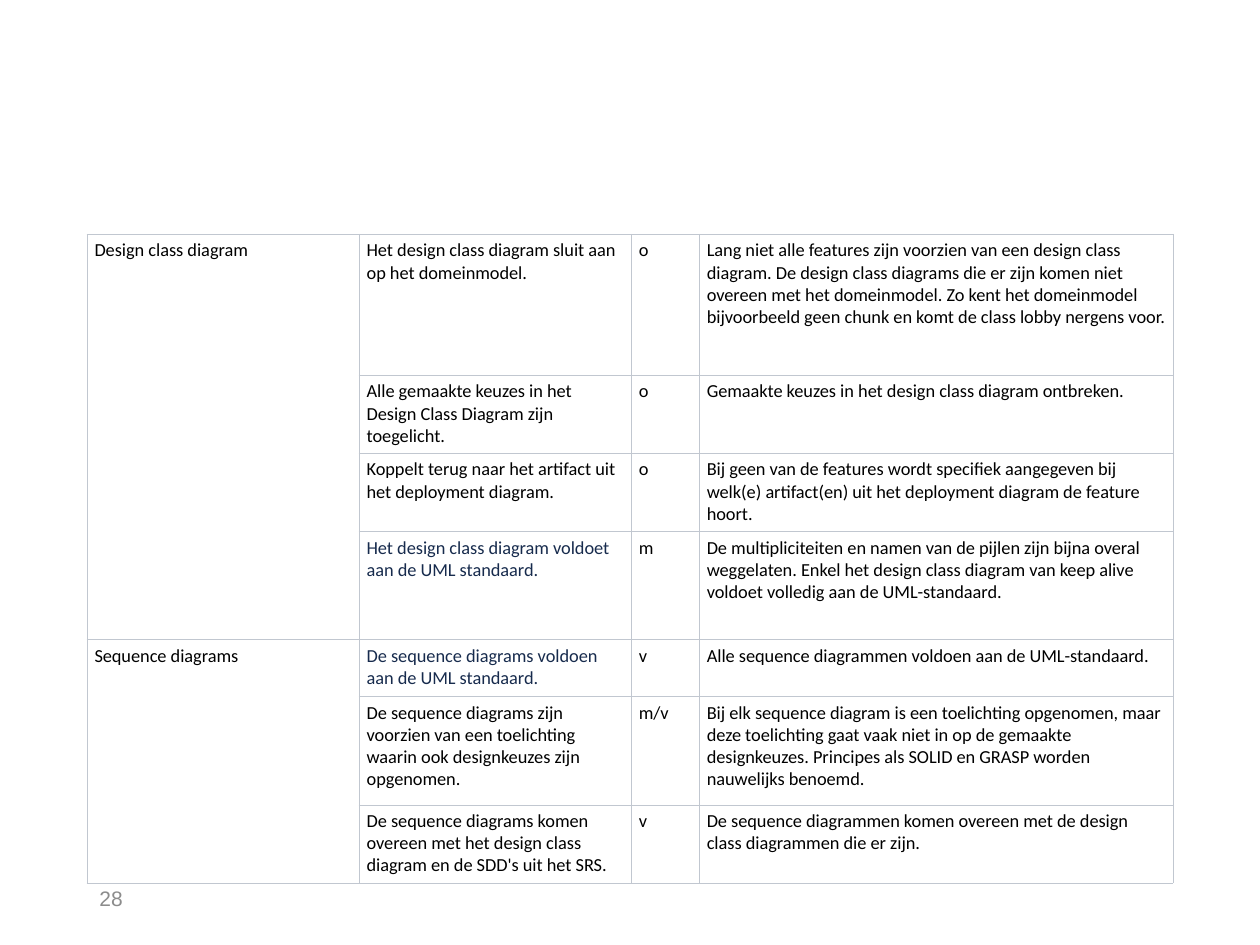
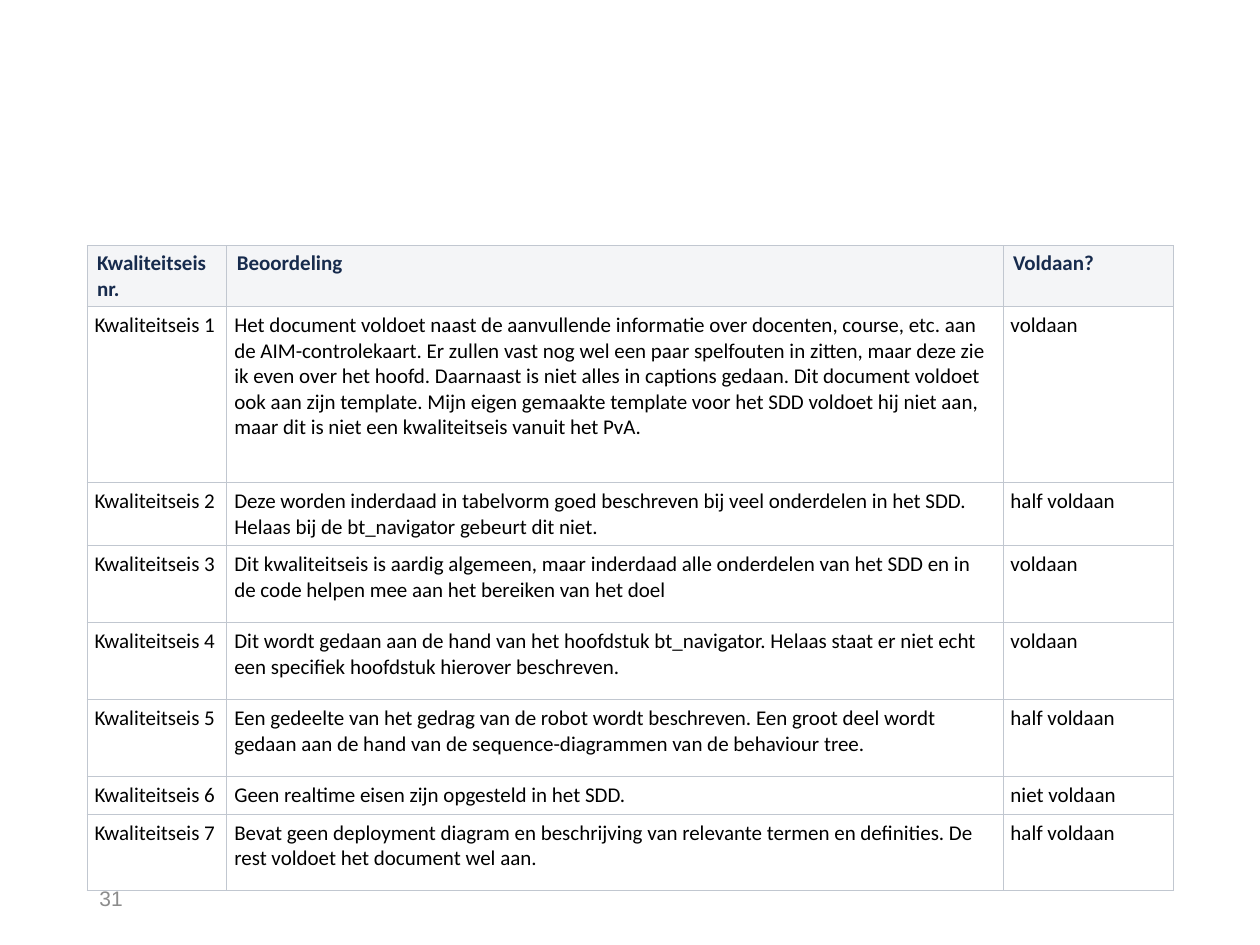
import pptx
import pptx.dml.color
import pptx.enum.text
import pptx.util
from lxml import etree
from pptx.oxml.ns import qn

Inches = pptx.util.Inches
Pt = pptx.util.Pt
RGBColor = pptx.dml.color.RGBColor

BLACK = RGBColor(0x00, 0x00, 0x00)
WHITE = RGBColor(0xFF, 0xFF, 0xFF)
NAVY = RGBColor(0x17, 0x2B, 0x4D)
HEADER_FILL = RGBColor(0xF4, 0xF5, 0xF7)
BORDER = RGBColor(0xC1, 0xC7, 0xD0)
NUMBER_GREY = RGBColor(0x8C, 0x8C, 0x8C)

TABLE_FONT = "Calibri"
NUMBER_FONT = "Arial"
LEFT, TABLE_WIDTH = 0.69, 8.62

REVIEW_COLUMNS = [2.16, 2.16, 0.54, 3.76]
REVIEW_GROUPS = [
    ("Design class diagram", [
        (1.12, "Het design class diagram sluit aan op het domeinmodel.", "o",
         "Lang niet alle features zijn voorzien van een design class diagram. "
         "De design class diagrams die er zijn komen niet overeen met het domeinmodel. "
         "Zo kent het domeinmodel bijvoorbeeld geen chunk en komt de class lobby nergens voor."),
        (0.62, "Alle gemaakte keuzes in het Design Class Diagram zijn toegelicht.", "o",
         "Gemaakte keuzes in het design class diagram ontbreken."),
        (0.62, "Koppelt terug naar het artifact uit het deployment diagram.", "o",
         "Bij geen van de features wordt specifiek aangegeven bij welk(e) artifact(en) "
         "uit het deployment diagram de feature hoort."),
        (0.86, "Het design class diagram voldoet aan de UML standaard.", "m",
         "De multipliciteiten en namen van de pijlen zijn bijna overal weggelaten. "
         "Enkel het design class diagram van keep alive voldoet volledig aan de UML-standaard."),
    ]),
    ("Sequence diagrams", [
        (0.45, "De sequence diagrams voldoen aan de UML standaard.", "v",
         "Alle sequence diagrammen voldoen aan de UML-standaard."),
        (0.86, "De sequence diagrams zijn voorzien van een toelichting waarin ook "
         "designkeuzes zijn opgenomen.", "m/v",
         "Bij elk sequence diagram is een toelichting opgenomen, maar deze toelichting gaat "
         "vaak niet in op de gemaakte designkeuzes. Principes als SOLID en GRASP worden "
         "nauwelijks benoemd."),
        (0.62, "De sequence diagrams komen overeen met het design class diagram en de SDD's "
         "uit het SRS.", "v",
         "De sequence diagrammen komen overeen met de design class diagrammen die er zijn."),
    ]),
]

QUALITY_COLUMNS = [1.11, 6.16, 1.35]
QUALITY_HEADER = ["Kwaliteitseis nr.", "Beoordeling", "Voldaan?"]
QUALITY_HEADER_HEIGHT = 0.48
QUALITY_ROWS = [
    (1.4, "Het document voldoet naast de aanvullende informatie over docenten, course, etc. "
     "aan de AIM-controlekaart. Er zullen vast nog wel een paar spelfouten in zitten, maar "
     "deze zie ik even over het hoofd. Daarnaast is niet alles in captions gedaan. Dit "
     "document voldoet ook aan zijn template. Mijn eigen gemaakte template voor het SDD "
     "voldoet hij niet aan, maar dit is niet een kwaliteitseis vanuit het PvA.", "voldaan"),
    (0.49, "Deze worden inderdaad in tabelvorm goed beschreven bij veel onderdelen in het SDD. "
     "Helaas bij de bt_navigator gebeurt dit niet.", "half voldaan"),
    (0.61, "Dit kwaliteitseis is aardig algemeen, maar inderdaad alle onderdelen van het SDD "
     "en in de code helpen mee aan het bereiken van het doel", "voldaan"),
    (0.61, "Dit wordt gedaan aan de hand van het hoofdstuk bt_navigator. Helaas staat er niet "
     "echt een specifiek hoofdstuk hierover beschreven.", "voldaan"),
    (0.61, "Een gedeelte van het gedrag van de robot wordt beschreven. Een groot deel wordt "
     "gedaan aan de hand van de sequence-diagrammen van de behaviour tree.", "half voldaan"),
    (0.3, "Geen realtime eisen zijn opgesteld in het SDD.", "niet voldaan"),
    (0.61, "Bevat geen deployment diagram en beschrijving van relevante termen en definities. "
     "De rest voldoet het document wel aan.", "half voldaan"),
]


def format_font(paragraph, name, size, color, bold=False):
    for run in paragraph.runs:
        run.font.name = name
        run.font.size = Pt(size)
        run.font.bold = bold
        run.font.color.rgb = color


def add_borders(cell):
    properties = cell._tc.get_or_add_tcPr()
    for side in ("a:lnL", "a:lnR", "a:lnT", "a:lnB"):
        line = etree.SubElement(properties, qn(side), w=str(Pt(0.6)))
        fill = etree.SubElement(line, qn("a:solidFill"))
        etree.SubElement(fill, qn("a:srgbClr"), val=str(BORDER))


def write_cell(cell, text, size, color=BLACK, bold=False, margins=(0.06, 0.04)):
    cell.text_frame.text = text
    format_font(cell.text_frame.paragraphs[0], TABLE_FONT, size, color, bold)
    horizontal, vertical = margins
    cell.margin_left = Inches(horizontal)
    cell.margin_right = Inches(horizontal - 0.01)
    cell.margin_top = cell.margin_bottom = Inches(vertical)


def add_grid(slide, top, column_widths, row_heights):
    """Add an empty white table with thin borders."""
    frame = slide.shapes.add_table(
        len(row_heights), len(column_widths), Inches(LEFT), Inches(top),
        Inches(TABLE_WIDTH), Inches(sum(row_heights)))
    table = frame.table
    table.first_row = False
    table.horz_banding = False
    for column, width in zip(table.columns, column_widths):
        column.width = Inches(width)
    for row, height in zip(table.rows, row_heights):
        row.height = Inches(height)
    for cell in table.iter_cells():
        add_borders(cell)
        cell.fill.solid()
        cell.fill.fore_color.rgb = WHITE
    return table


def add_slide(presentation, number):
    """Add a blank slide with its number at the bottom left."""
    slide = presentation.slides.add_slide(presentation.slide_layouts[6])
    box = slide.shapes.add_textbox(Inches(LEFT), Inches(6.93), Inches(2.25), Inches(0.4))
    text_frame = box.text_frame
    text_frame.word_wrap = True
    text_frame.vertical_anchor = pptx.enum.text.MSO_ANCHOR.MIDDLE
    text_frame.text = str(number)
    format_font(text_frame.paragraphs[0], NUMBER_FONT, 12, NUMBER_GREY)
    return slide


def add_review_table(slide, top):
    heights = [row[0] for _, rows in REVIEW_GROUPS for row in rows]
    table = add_grid(slide, top, REVIEW_COLUMNS, heights)
    row_index = 0
    for subject, rows in REVIEW_GROUPS:
        subject_cell = table.cell(row_index, 0)
        subject_cell.merge(table.cell(row_index + len(rows) - 1, 0))
        write_cell(subject_cell, subject, 10.5)
        for _, criterion, score, remark in rows:
            criterion_color = NAVY if criterion.endswith("UML standaard.") else BLACK
            write_cell(table.cell(row_index, 1), criterion, 10.5, criterion_color)
            write_cell(table.cell(row_index, 2), score, 10.5)
            write_cell(table.cell(row_index, 3), remark, 10.5)
            row_index += 1


def add_quality_table(slide, top):
    heights = [QUALITY_HEADER_HEIGHT] + [row[0] for row in QUALITY_ROWS]
    table = add_grid(slide, top, QUALITY_COLUMNS, heights)
    for column, heading in enumerate(QUALITY_HEADER):
        cell = table.cell(0, column)
        write_cell(cell, heading, 12, NAVY, bold=True, margins=(0.08, 0.04))
        cell.fill.fore_color.rgb = HEADER_FILL
    for number, (_, assessment, result) in enumerate(QUALITY_ROWS, start=1):
        for column, text in enumerate((f"Kwaliteitseis {number}", assessment, result)):
            write_cell(table.cell(number, column), text, 12, margins=(0.06, 0.05))


def main():
    presentation = pptx.Presentation()
    presentation.slide_width = Inches(10)
    presentation.slide_height = Inches(7.5)
    add_review_table(add_slide(presentation, 28), top=1.86)
    add_quality_table(add_slide(presentation, 31), top=1.95)
    presentation.save("out.pptx")


if __name__ == "__main__":
    main()
